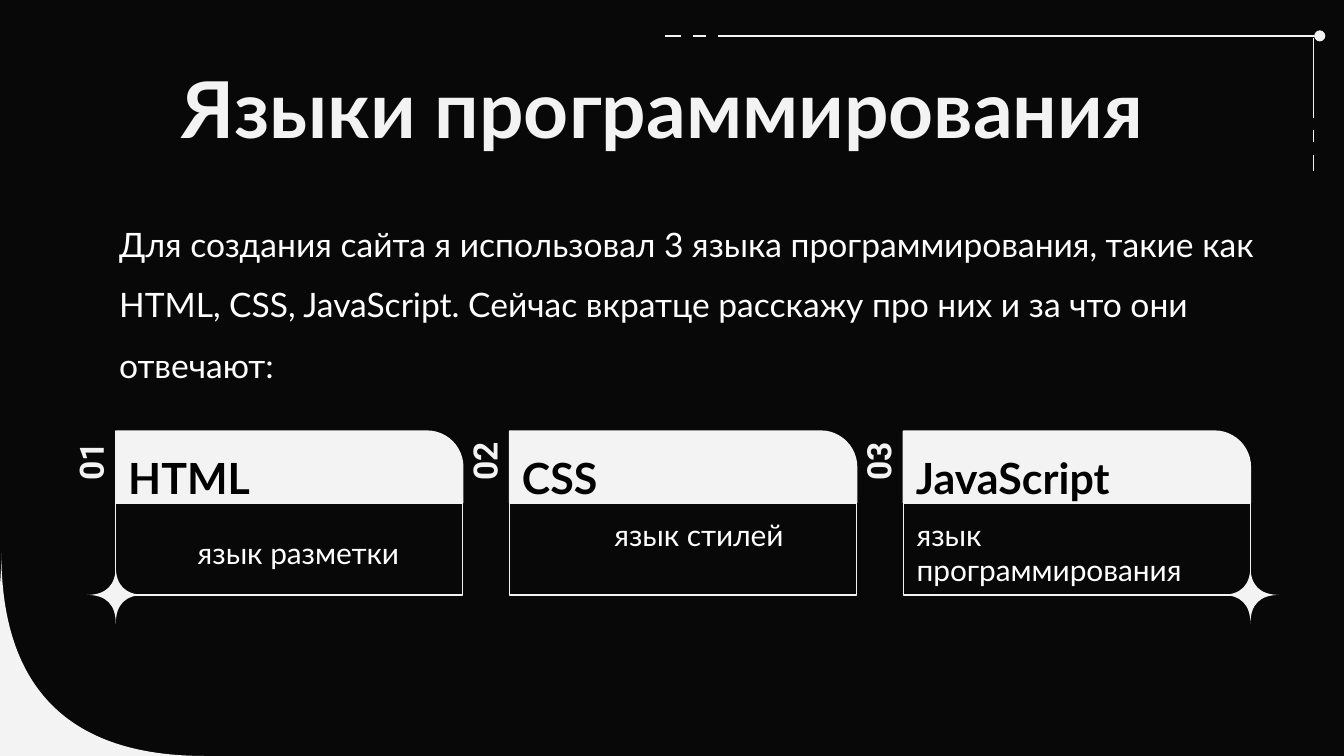
from dataclasses import dataclass

from lxml import etree
from pptx import Presentation
from pptx.dml.color import RGBColor
from pptx.enum.shapes import MSO_CONNECTOR, MSO_SHAPE
from pptx.enum.text import MSO_ANCHOR, MSO_AUTO_SIZE, PP_ALIGN
from pptx.oxml.ns import qn
from pptx.util import Inches, Pt

LEFT, CENTER, RIGHT = PP_ALIGN.LEFT, PP_ALIGN.CENTER, PP_ALIGN.RIGHT
TOP, MIDDLE = MSO_ANCHOR.TOP, MSO_ANCHOR.MIDDLE
FIXED, GROW = MSO_AUTO_SIZE.NONE, MSO_AUTO_SIZE.SHAPE_TO_FIT_TEXT
RECT, ROUND_ONE = MSO_SHAPE.RECTANGLE, MSO_SHAPE.ROUND_1_RECTANGLE
STRAIGHT = MSO_CONNECTOR.STRAIGHT

NIGHT = RGBColor(0x08, 0x08, 0x08)
PALE = RGBColor(0xF3, 0xF3, 0xF3)
WHITE = RGBColor(0xFF, 0xFF, 0xFF)
BLACK = RGBColor(0x00, 0x00, 0x00)

WIDTH, HEIGHT = Inches(10), Inches(5.625)
COLUMNS = 100
CELL = WIDTH // COLUMNS
ROWS = HEIGHT / CELL

CARD_LEFT, CARD_STEP, CARD_COLS = 8.62, 29.3, 25.82
HEAD_ROW, HEAD_ROWS, BODY_ROWS = 32.08, 5.34, 6.85
BODY_ROW = HEAD_ROW + HEAD_ROWS
CARD_BOTTOM = BODY_ROW + BODY_ROWS
INSET = 1


@dataclass(frozen=True)
class Box:
    col: float
    row: float
    cols: float
    rows: float

    def emu(self) -> tuple:
        return tuple(cells(v) for v in (self.col, self.row, self.cols, self.rows))


@dataclass(frozen=True)
class Card:
    number: str
    name: str
    role: str
    indent: float = 0
    spacing: float = 1


CARDS = (
    Card("01", "HTML", "язык разметки", 5.1, 1.5),
    Card("02", "CSS", "язык стилей", 6.8),
    Card("03", "JavaScript", "язык программирования"),
)


def cells(n: float) -> int:
    return round(n * CELL)


def write(s, text: str, *, size: float, color: RGBColor, font: str = "Lato",
          bold: bool = False, align=LEFT, anchor=TOP, spacing: float = 1,
          indent: float = 0, fit=FIXED) -> None:
    tf = s.text_frame
    tf.word_wrap, tf.auto_size, tf.vertical_anchor = True, fit, anchor
    tf.margin_top = tf.margin_right = tf.margin_bottom = cells(INSET)
    tf.margin_left = cells(INSET + indent)
    p = tf.paragraphs[0]
    p.alignment, p.line_spacing = align, spacing
    r = p.add_run()
    r.text = text
    r.font.name, r.font.size, r.font.bold = font, Pt(size), bold
    r.font.color.rgb = color


def add_text(slide, box: Box, text: str, rotation: float = 0, **style) -> None:
    s = slide.shapes.add_textbox(*box.emu())
    s.rotation = rotation
    write(s, text, **style)


def add_panel(slide, kind, box: Box, filled: bool):
    s = slide.shapes.add_shape(kind, *box.emu())
    s.shadow.inherit = False
    if filled:
        s.fill.solid()
        s.fill.fore_color.rgb = PALE
    else:
        s.fill.background()
    s.line.color.rgb, s.line.width = PALE, Pt(0.75)
    return s


def add_line(slide, start: tuple, end: tuple, dot: bool = False) -> None:
    s = slide.shapes.add_connector(STRAIGHT, *map(cells, start + end))
    s.line.color.rgb, s.line.width = PALE, Pt(0.75)
    if dot:
        etree.SubElement(s.line._get_or_add_ln(), qn("a:headEnd"), type="oval")
    etree.SubElement(s._element.spPr, qn("a:effectLst"))


def bend_inward(s, radius: int) -> None:
    start = (radius, 0)
    for segment in list(s._element.iter(qn("a:lnTo"))):
        end = tuple(int(segment[0].get(axis)) for axis in "xy")
        segment.tag = qn("a:cubicBezTo")
        for i, tip in enumerate((start, end)):
            x, y = (radius + (v - radius) // 3 for v in tip)
            segment.insert(i, etree.Element(qn("a:pt"), x=str(x), y=str(y)))
        start = end


def add_star(slide, col: float, row: float, radius: float) -> None:
    x, y, r = map(cells, (col, row, radius))
    builder = slide.shapes.build_freeform(x, y - r)
    builder.add_line_segments([(x - r, y), (x, y + r), (x + r, y), (x, y - r)],
                              close=True)
    s = builder.convert_to_shape()
    bend_inward(s, r)
    s.shadow.inherit = False
    s.fill.solid()
    s.fill.fore_color.rgb = PALE
    s.line.fill.background()


def add_decor(slide) -> None:
    top, side = 2.67, 97.74
    add_line(slide, (side, 2.8), (side, 8.5))
    for start, end in ((98.2, 54), (54.6, 53.4), (52.5, 51.6), (50.7, 49.5)):
        add_line(slide, (start, top), (end, top), dot=start > side)
    for start, end in ((7.6, 8.8), (9.7, 10.6), (11.5, 12.7)):
        add_line(slide, (side, start), (side, end))
    add_star(slide, 0.1, ROWS, 15.1)


def add_card(slide, card: Card, left: float) -> None:
    add_text(slide, Box(left - 0.06, 32.3, 26, 4.5), card.name, size=23,
             color=BLACK, bold=True, anchor=MIDDLE, spacing=1.5)
    s = add_panel(slide, RECT, Box(left, BODY_ROW, CARD_COLS, BODY_ROWS), False)
    write(s, card.role, size=16, color=WHITE, indent=card.indent,
          spacing=card.spacing)
    add_text(slide, Box(left - 4.8, 33.03, 5.8, 3.6), card.number, 270, size=18,
             color=PALE, font="Roboto", bold=True, align=RIGHT, anchor=MIDDLE)


def main() -> None:
    prs = Presentation()
    prs.slide_width, prs.slide_height = WIDTH, HEIGHT
    slide = prs.slides.add_slide(prs.slide_layouts[5])
    slide.background.fill.solid()
    slide.background.fill.fore_color.rgb = NIGHT

    title = slide.shapes.title
    title.left, title.top, title.width, title.height = Box(7.86, 4.84, 84.3, 6.3).emu()
    write(title, "Языки программирования ", size=42, color=PALE, bold=True,
          align=CENTER, anchor=MIDDLE)

    add_decor(slide)
    lefts = [CARD_LEFT + i * CARD_STEP for i in range(len(CARDS))]
    for left in lefts:
        s = add_panel(slide, ROUND_ONE,
                      Box(left, HEAD_ROW, CARD_COLS, HEAD_ROWS), True)
        s.adjustments[0] = 0.5
    for col in (lefts[0], lefts[-1] + CARD_COLS):
        add_star(slide, col, CARD_BOTTOM, 2.15)
    for card, left in zip(CARDS, lefts):
        add_card(slide, card, left)

    add_text(slide, Box(7.88, 14.14, 86.8, 9.6),
             "Для создания сайта я использовал 3 языка программирования, "
             "такие как HTML, CSS, JavaScript. Сейчас вкратце расскажу про "
             "них и за что они отвечают:",
             size=18, color=WHITE, spacing=1.5, fit=GROW)
    prs.save("out.pptx")


if __name__ == "__main__":
    main()
